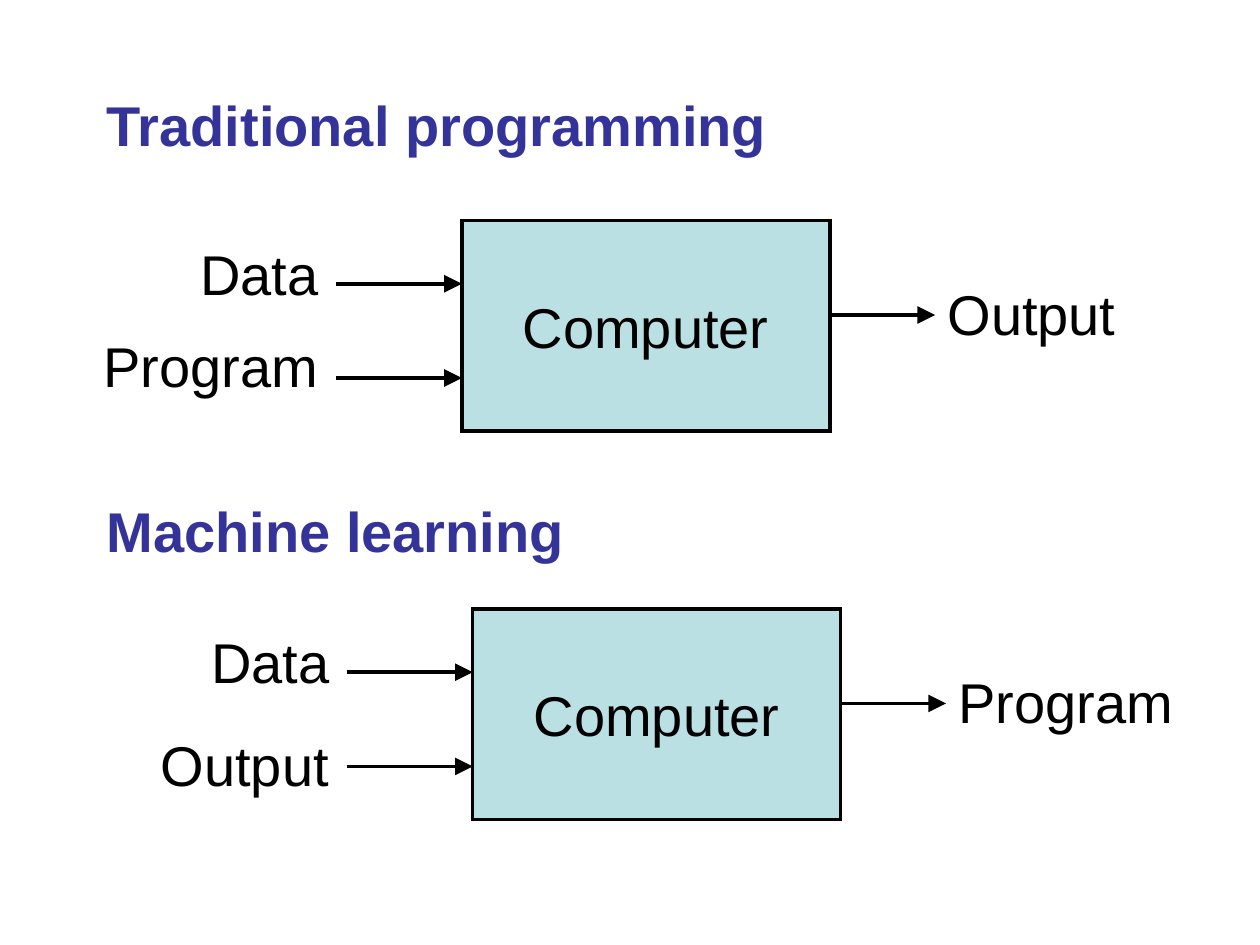
from lxml.etree import SubElement
from pptx import Presentation
from pptx.dml.color import RGBColor
from pptx.enum.shapes import MSO_CONNECTOR, MSO_SHAPE
from pptx.enum.text import MSO_ANCHOR, MSO_AUTO_SIZE, PP_ALIGN
from pptx.oxml.ns import qn
from pptx.util import Cm, Pt

BLACK = RGBColor(0x00, 0x00, 0x00)
INDIGO = RGBColor(0x33, 0x33, 0x99)
PALE_TEAL = RGBColor(0xBB, 0xE0, 0xE3)

# Content: box is (left, top); inputs are (label, label offset below box top)
DIAGRAMS = [
    {"heading": "Traditional programming", "heading_top": 1.7, "box": (9.31, 4.45),
     "inputs": [("Data", 0.25), ("Program", 2.1)], "output": "Output"},
    {"heading": "Machine learning", "heading_top": 9.88, "box": (9.53, 12.28),
     "inputs": [("Data", 0.25), ("Output", 2.33)], "output": "Program"},
]

# Layout in centimetres
BOX_WIDTH, BOX_HEIGHT = 7.42, 4.24
INPUT_OFFSETS = (1.27, 3.17)
INPUT_LENGTH, OUTPUT_LENGTH = 2.54, 2.12
OUTPUT_OFFSET, OUTPUT_LABEL_OFFSET = 1.9, 1.06
LABEL_WIDTHS = {"Data": 2.9, "Program": 4.85, "Output": 3.92}
LABEL_GAP = 0.08
TEXT_HEIGHT = 1.63
HEADING_LEFT, HEADING_WIDTH = 1.9, 20

presentation = Presentation()
presentation.slide_width, presentation.slide_height = Cm(25.4), Cm(19.05)
slide = presentation.slides.add_slide(presentation.slide_layouts[6])


def write_text(shape, text, color=BLACK, bold=False, align=PP_ALIGN.LEFT,
               anchor=MSO_ANCHOR.TOP, wrap=False, auto_size=MSO_AUTO_SIZE.NONE):
    frame = shape.text_frame
    frame.word_wrap = wrap
    frame.auto_size = auto_size
    frame.vertical_anchor = anchor
    paragraph = frame.paragraphs[0]
    paragraph.alignment = align
    run = paragraph.add_run()
    run.text = text
    run.font.name, run.font.size = "Arial", Pt(32)
    run.font.bold = bold
    run.font.color.rgb = color


def add_label(text, left, top, width, **text_format):
    shape = slide.shapes.add_textbox(Cm(left), Cm(top), Cm(width), Cm(TEXT_HEIGHT))
    write_text(shape, text, auto_size=MSO_AUTO_SIZE.SHAPE_TO_FIT_TEXT, **text_format)


def add_computer(left, top):
    shape = slide.shapes.add_shape(MSO_SHAPE.RECTANGLE, Cm(left), Cm(top),
                                   Cm(BOX_WIDTH), Cm(BOX_HEIGHT))
    shape.shadow.inherit = False
    shape.fill.solid()
    shape.fill.fore_color.rgb = PALE_TEAL
    shape.line.color.rgb = BLACK
    shape.line.width = Pt(2)
    SubElement(shape.line._get_or_add_ln(), qn("a:miter"), lim="800000")
    write_text(shape, "Computer", align=PP_ALIGN.CENTER, anchor=MSO_ANCHOR.MIDDLE)


def add_arrow(left, right, y):
    arrow = slide.shapes.add_connector(MSO_CONNECTOR.STRAIGHT,
                                       Cm(left), Cm(y), Cm(right), Cm(y))
    arrow.line.color.rgb = BLACK
    arrow.line.width = Pt(2)
    SubElement(arrow.line._get_or_add_ln(), qn("a:tailEnd"),
               type="triangle", w="lg", len="lg")
    SubElement(arrow._element.spPr, qn("a:effectLst"))


for diagram in DIAGRAMS:
    left, top = diagram["box"]
    add_label(diagram["heading"], HEADING_LEFT, diagram["heading_top"], HEADING_WIDTH,
              color=INDIGO, bold=True, wrap=True)
    add_computer(left, top)

    # Inputs: labels end just before their arrows
    start = left - INPUT_LENGTH
    for (label, label_offset), arrow_offset in zip(diagram["inputs"], INPUT_OFFSETS):
        width = LABEL_WIDTHS[label]
        add_label(label, start - LABEL_GAP - width, top + label_offset, width)
        add_arrow(start, left, top + arrow_offset)

    # Output: label begins at the arrow tip
    right = left + BOX_WIDTH
    end = right + OUTPUT_LENGTH
    add_arrow(right, end, top + OUTPUT_OFFSET)
    add_label(diagram["output"], end, top + OUTPUT_LABEL_OFFSET,
              LABEL_WIDTHS[diagram["output"]])

presentation.save("out.pptx")
